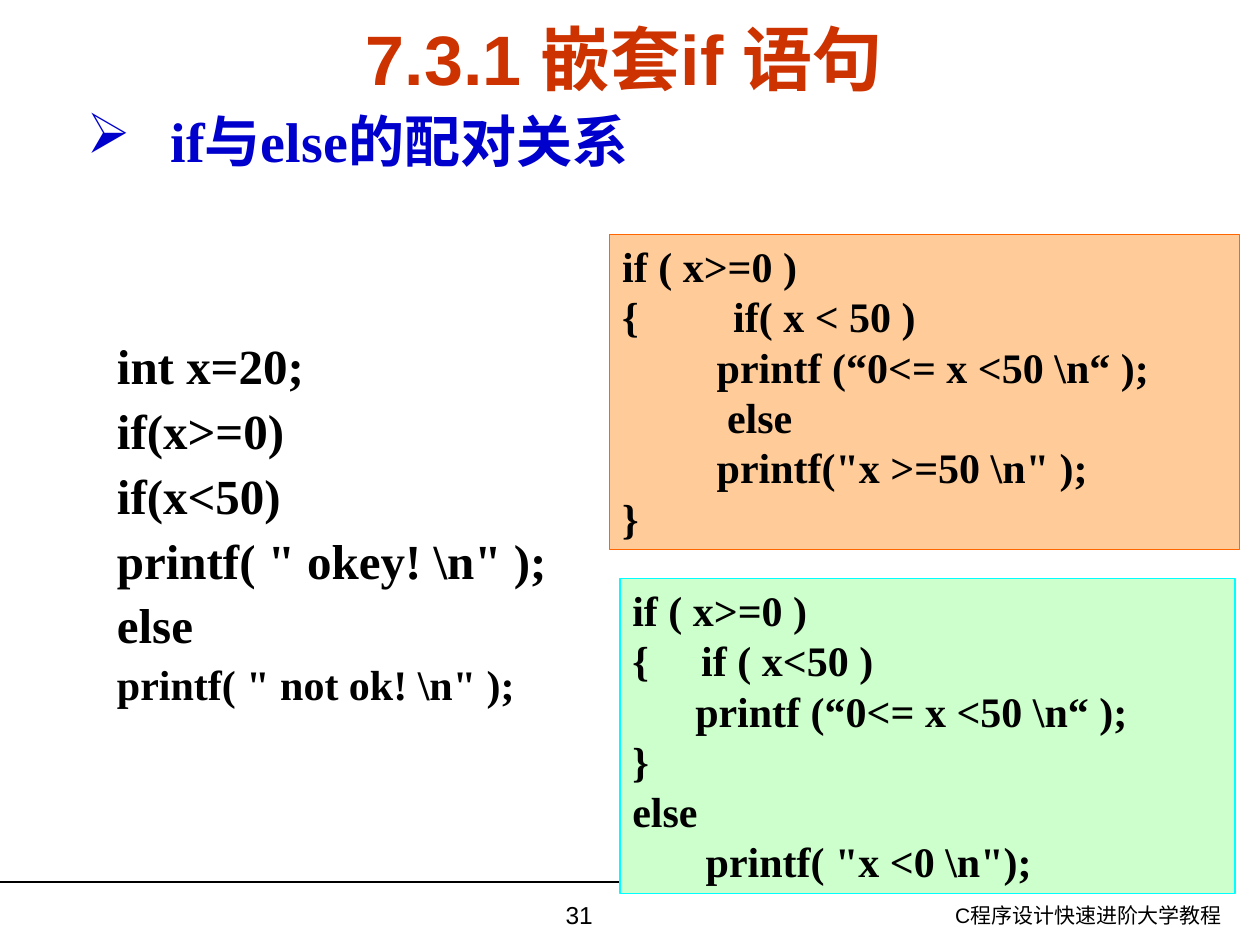
from lxml import etree
from pptx import Presentation
from pptx.dml.color import RGBColor
from pptx.enum.shapes import MSO_CONNECTOR, MSO_SHAPE
from pptx.enum.text import MSO_ANCHOR, PP_ALIGN
from pptx.oxml.ns import qn
from pptx.util import Pt

LEFT, CENTER, RIGHT = PP_ALIGN.LEFT, PP_ALIGN.CENTER, PP_ALIGN.RIGHT
TOP, MIDDLE = MSO_ANCHOR.TOP, MSO_ANCHOR.MIDDLE
RECTANGLE, STRAIGHT = MSO_SHAPE.RECTANGLE, MSO_CONNECTOR.STRAIGHT

THEME = {
    "black": "000000", "title": "CC3300", "heading": "0000CC",
    "sans": "Arial", "serif": "Times New Roman",
    "styles": {
        "title": {"size": 40, "name": "sans", "color": "title", "bold": True},
        "heading": {"size": 32, "name": "serif", "color": "heading", "bold": True},
        "sample": {"size": 28, "name": "serif", "color": "black", "bold": True, "leading": 37},
        "code": {"size": 24, "name": "serif", "color": "black", "bold": True, "leading": 28.75},
        "last": {"size": 24, "name": "serif", "color": "black", "bold": True, "leading": 31.75},
        "number": {"size": 14, "name": "sans", "color": "black", "bold": False},
        "footer": {"size": 12, "name": "sans", "color": "black", "bold": False},
    },
}

LABELS = [
    ("7.3.1 嵌套if 语句", "title", (31, 15, 651.5, 36), CENTER, MIDDLE),
    ("C程序设计快速进阶大学教程", "footer", (473, 512, 232.5, 28), RIGHT, TOP),
    ("31", "number", (247, 510.5, 168, 29.5), CENTER, TOP),
]
HEADING = ("if与else的配对关系", "heading", (42.5, 60, 640, 40), LEFT, MIDDLE)
SAMPLE = ["int x=20;", "if(x>=0)", "if(x<50)", 'printf( " okey! \\n" );', "else"]
SAMPLE_LAST = 'printf( " not ok! \\n" );'
SAMPLE_AREA = (59.75, 185, 278, 255.5)
CODE_BOXES = [
    ((348.5, 134, 360, 180), "FFCC99", "FF6600", [
        "if ( x>=0 )",
        "{         if( x < 50 )",
        "\t   printf (“0<= x <50 \\n“ );",
        "          else",
        '\t   printf("x >=50 \\n" );',
        "}",
    ]),
    ((354.25, 330.5, 351.5, 180), "CCFFCC", "00FFFF", [
        "if ( x>=0 )",
        "{     if ( x<50 )",
        "\tprintf (“0<= x <50 \\n“ );",
        "}",
        "else",
        '       printf( "x <0 \\n");',
    ]),
]


def color(value):
    return RGBColor.from_string(value)


def write(box, lines, align=LEFT, anchor=TOP):
    frame = box.text_frame
    settings = {"word_wrap": True, "vertical_anchor": anchor,
                "margin_left": Pt(7.2), "margin_right": Pt(7.2),
                "margin_top": Pt(3.6), "margin_bottom": Pt(3.6)}
    for key, value in settings.items():
        setattr(frame, key, value)
    for index, (text, style_name) in enumerate(lines):
        style = THEME["styles"][style_name]
        para = frame.add_paragraph() if index else frame.paragraphs[0]
        para.alignment = align
        if "leading" in style:
            para.line_spacing = Pt(style["leading"])
        span = para.add_run()
        span.text = text
        formats = {"size": Pt(style["size"]), "name": THEME[style["name"]], "bold": style["bold"]}
        for key, value in formats.items():
            setattr(span.font, key, value)
        span.font.color.rgb = color(THEME[style["color"]])


def add_label(page, text, style, area, align, anchor):
    box = page.shapes.add_textbox(*map(Pt, area))
    write(box, [(text, style)], align, anchor)
    return box


def add_bullet(para, symbol, indent):
    properties = para._p.get_or_add_pPr()
    properties.set("marL", str(Pt(indent)))
    properties.set("indent", str(-Pt(indent)))
    etree.SubElement(properties, qn("a:buChar")).set("char", symbol)


def add_code_box(page, area, fill, outline, lines):
    box = page.shapes.add_shape(RECTANGLE, *map(Pt, area))
    box.shadow.inherit = False
    box.fill.solid()
    box.fill.fore_color.rgb = color(fill)
    box.line.color.rgb = color(outline)
    box.line.width = Pt(0.75)
    write(box, [(line, "code") for line in lines])


def main():
    deck = Presentation()
    deck.slide_width, deck.slide_height = Pt(720), Pt(540)
    page = deck.slides.add_slide(deck.slide_layouts[6])

    rule = page.shapes.add_connector(STRAIGHT, 0, Pt(504), Pt(546), Pt(504))
    rule.line.color.rgb = color(THEME["black"])
    rule.line.width = Pt(0.75)
    etree.SubElement(rule._element.spPr, qn("a:effectLst"))

    for label in LABELS:
        add_label(page, *label)
    heading = add_label(page, *HEADING)
    add_bullet(heading.text_frame.paragraphs[0], "➢", 48)

    sample = page.shapes.add_textbox(*map(Pt, SAMPLE_AREA))
    write(sample, [(line, "sample") for line in SAMPLE] + [(SAMPLE_LAST, "last")])
    for code_box in CODE_BOXES:
        add_code_box(page, *code_box)
    deck.save("out.pptx")


if __name__ == "__main__":
    main()
